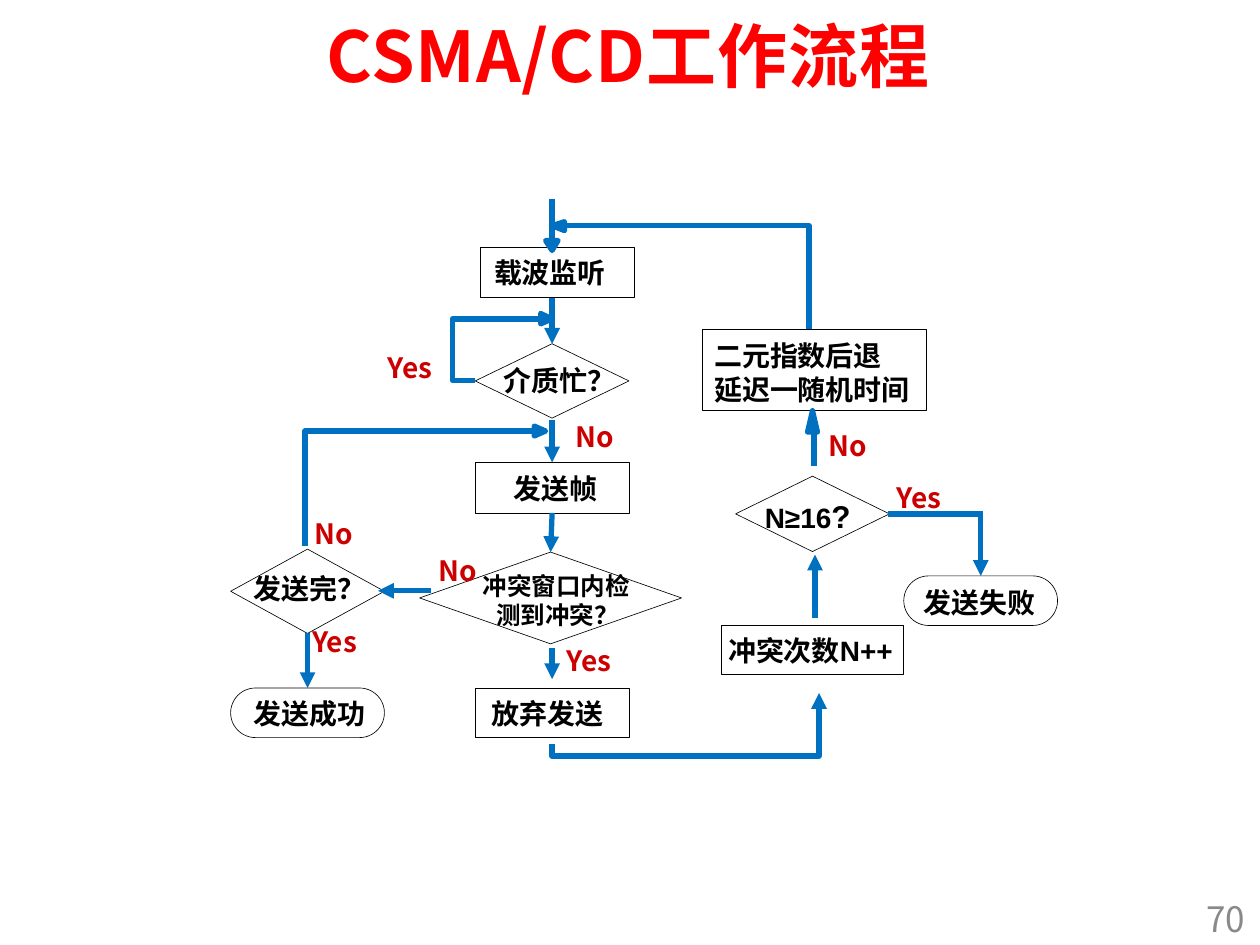
"""Build the CSMA/CD workflow flowchart slide."""
from lxml import etree
from pptx import Presentation
from pptx.dml.color import RGBColor
from pptx.enum.shapes import MSO_CONNECTOR, MSO_SHAPE
from pptx.enum.text import MSO_ANCHOR, PP_ALIGN
from pptx.oxml.ns import qn
from pptx.util import Cm, Pt

RECT, DIAMOND, ROUND = MSO_SHAPE.RECTANGLE, MSO_SHAPE.DIAMOND, MSO_SHAPE.ROUNDED_RECTANGLE
STRAIGHT = MSO_CONNECTOR.STRAIGHT
MIDDLE, TOP = MSO_ANCHOR.MIDDLE, MSO_ANCHOR.TOP
LEFT, CENTER, RIGHT = PP_ALIGN.LEFT, PP_ALIGN.CENTER, PP_ALIGN.RIGHT
CJK, LATIN = "Noto Sans CJK SC", "Arial"
COLORS = {"title": "FF0000", "text": "000000", "label": "CC0000",
          "flow": "0070C0", "fill": "FFFFFF", "number": "898989"}

TITLE = "CSMA/CD工作流程"
NODES = {
    "listen": (RECT, (9.68, 4.98, 3.1, 1.02)),
    "busy": (DIAMOND, (9.58, 6.93, 3.1, 1.5)),
    "send": (RECT, (9.58, 9.32, 3.1, 1.02)),
    "collision": (DIAMOND, (8.46, 11.13, 5.28, 1.85)),
    "finished": (DIAMOND, (4.65, 11.07, 3.1, 1.7)),
    "abort": (RECT, (9.58, 13.87, 3.1, 1)),
    "success": (ROUND, (4.65, 13.87, 3.1, 1)),
    "count": (RECT, (14.55, 12.6, 3.66, 1)),
    "limit": (DIAMOND, (14.83, 9.6, 3.1, 1.52)),
    "failure": (ROUND, (18.22, 11.61, 3.1, 1)),
    "backoff": (RECT, (14.15, 6.63, 4.52, 1.65)),
}
CAPTIONS = [
    (["载波监听"], (9.96, 5.16, 2.74, 0.69), 16),
    (["介质忙？"], (10.16, 7.32, 2.74, 0.69), 16),
    (["发送帧"], (10.36, 9.5, 2.34, 0.69), 16),
    (["冲突窗口内检", "测到冲突？"], (9.73, 11.51, 3.18, 1.2), 14),
    (["发送完？"], (5.11, 11.53, 2.29, 0.69), 16),
    (["放弃发送"], (9.91, 14.05, 2.54, 0.69), 16),
    (["发送成功"], (5.11, 14.05, 2.74, 0.69), 16),
    (["冲突次数N++"], (14.68, 12.78, 3.63, 0.69), 16),
    (["N≥16"], (15.42, 10.01, 2.08, 0.76), 16),
    (["发送失败"], (18.62, 11.81, 2.77, 0.69), 16),
    (["二元指数后退", "延迟一随机时间"], (14.4, 6.83, 5.08, 1.35), 16),
]
LABELS = [
    ("Yes", 7.82, 7.06), ("No", 11.61, 8.46), ("No", 8.84, 11.15), ("Yes", 11.43, 12.98),
    ("No", 6.35, 10.41), ("Yes", 6.3, 12.6), ("No", 16.71, 8.64), ("Yes", 18.08, 9.68),
]
ARROWS = [
    ((11.13, 6), (11.13, 6.93), None, "busy"),
    ((11.13, 8.46), (11.13, 9.32), None, "send"),
    ((11.13, 10.34), (11.13, 11.13), "send", "collision"),
    ((11.13, 13.06), (11.13, 13.69), None, None),
    ((8.69, 11.91), (7.62, 11.91), None, None),
    ((6.2, 12.77), (6.2, 13.87), "finished", "success"),
    ((16.51, 15.24), (16.51, 13.97), None, None),
    ((16.43, 12.45), (16.43, 11.18), None, None),
    ((19.77, 10.31), (19.77, 11.61), None, "failure"),
]
STEMS = [((11.13, 4.01), (11.13, 4.85)), ((16.41, 9.4), (16.41, 8.61))]
ROUTES = [
    [(6.15, 11), (6.15, 8.69), (10.82, 8.69)],
    [(11.13, 14.99), (11.13, 15.24), (16.51, 15.24), (16.51, 14.4)],
    [(17.91, 10.36), (19.77, 10.36), (19.77, 11.46)],
    [(16.31, 6.63), (16.31, 4.55), (11.33, 4.55)],
    [(9.58, 7.67), (9.12, 7.67), (9.12, 6.43), (10.92, 6.43)],
]
HEADS = [
    [(10.77, 8.59), (11, 8.69), (10.77, 8.79)],
    [(16.28, 8.71), (16.38, 8.28), (16.48, 8.71)],
    [(11.38, 4.65), (11.13, 4.55), (11.38, 4.47)],
    [(10.9, 6.32), (11.13, 6.43), (10.9, 6.53)],
    [(11, 4.85), (11.13, 5.05), (11.25, 4.85)],
]


def rgb(name):
    return RGBColor.from_string(COLORS[name])


def cm(values):
    return [Cm(v) for v in values]


def format_run(r, size, font, color, bold=True):
    r.font.size, r.font.bold, r.font.name = Pt(size), bold, font
    r.font.color.rgb = rgb(color)
    etree.SubElement(r._r.get_or_add_rPr(), qn("a:ea"), typeface=CJK)


def write(sp, lines, size, font, color, bold=True, align=LEFT, anchor=TOP, inset=0):
    tf = sp.text_frame
    tf.word_wrap, tf.vertical_anchor = True, anchor
    tf.margin_left = tf.margin_right = Cm(inset)
    tf.margin_top = tf.margin_bottom = Cm(inset / 2)
    tf.text = "\n".join(lines)
    for p in tf.paragraphs:
        p.alignment = align
        format_run(p.runs[0], size, font, color, bold)
    return tf


def set_line(sp, color, width):
    sp.line.color.rgb, sp.line.width = rgb(color), Pt(width)


def add_line(shapes, start, end, arrow=True):
    c = shapes.add_connector(STRAIGHT, *cm(start + end))
    set_line(c, "flow", 3)
    if arrow:
        etree.SubElement(c.line._get_or_add_ln(), qn("a:tailEnd"), type="triangle")
    etree.SubElement(c._element.spPr, qn("a:effectLst"))
    return c


def add_path(shapes, points, closed):
    first, *rest = [cm(pt) for pt in points]
    builder = shapes.build_freeform(*first)
    builder.add_line_segments(rest, close=closed)
    sp = builder.convert_to_shape()
    sp.shadow.inherit = False
    if closed:
        sp.fill.solid()
        sp.fill.fore_color.rgb = rgb("flow")
    else:
        sp.fill.background()
    set_line(sp, "flow", 3)


def main():
    prs = Presentation()
    prs.slide_width, prs.slide_height = Cm(25.4), Cm(19.05)
    s = prs.slides.add_slide(prs.slide_layouts[5])
    shapes = s.shapes

    title = shapes.title
    title.left, title.top, title.width, title.height = cm((2.46, 0.25, 20.4, 1.7))
    tf = write(title, [TITLE], 40, CJK, "title", align=CENTER, anchor=MIDDLE, inset=0.25)
    tf.paragraphs[0].runs[0]._r.get_or_add_rPr().set("spc", "50")

    nodes = {}
    for name, (kind, box) in NODES.items():
        sp = nodes[name] = shapes.add_shape(kind, *cm(box))
        sp.shadow.inherit = False
        sp.fill.solid()
        sp.fill.fore_color.rgb = rgb("fill")
        set_line(sp, "text", 0.38)
        if kind == ROUND:
            sp.adjustments[0] = 0.5

    for lines, box, size in CAPTIONS:
        tf = write(shapes.add_textbox(*cm(box)), lines, size, LATIN, "text")
        if lines == ["N≥16"]:
            r = tf.paragraphs[0].add_run()
            r.text = "?"
            format_run(r, 18, LATIN, "text")
        elif size == 14:
            tf.paragraphs[1]._p.get_or_add_pPr().set("marL", str(Cm(0.27)))

    for points in ROUTES:
        add_path(shapes, points, False)
    for points in HEADS:
        add_path(shapes, points, True)
    for start, end in STEMS:
        add_line(shapes, start, end, arrow=False)
    for start, end, source, target in ARROWS:
        c = add_line(shapes, start, end)
        if source:
            c.begin_connect(nodes[source], 2)
        if target:
            c.end_connect(nodes[target], 0)

    for text, x, y in LABELS:
        write(shapes.add_textbox(*cm((x, y, 1.4, 0.69))), [text], 16, CJK, "label")
    number = shapes.add_textbox(*cm((19.43, 18.01, 5.92, 1.02)))
    write(number, ["70"], 20, CJK, "number", False, RIGHT, MIDDLE, 0.25)
    prs.save("out.pptx")


if __name__ == "__main__":
    main()
